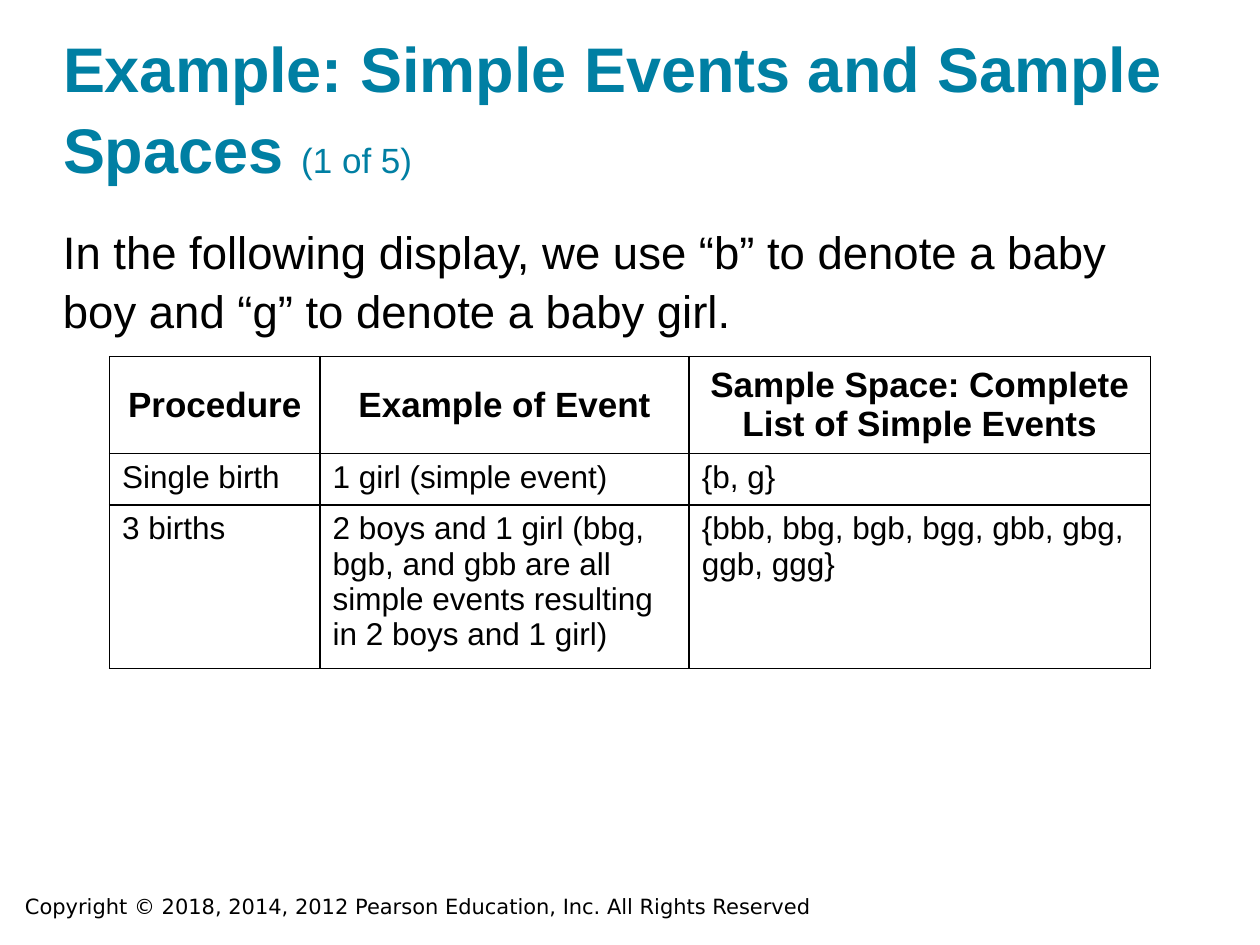
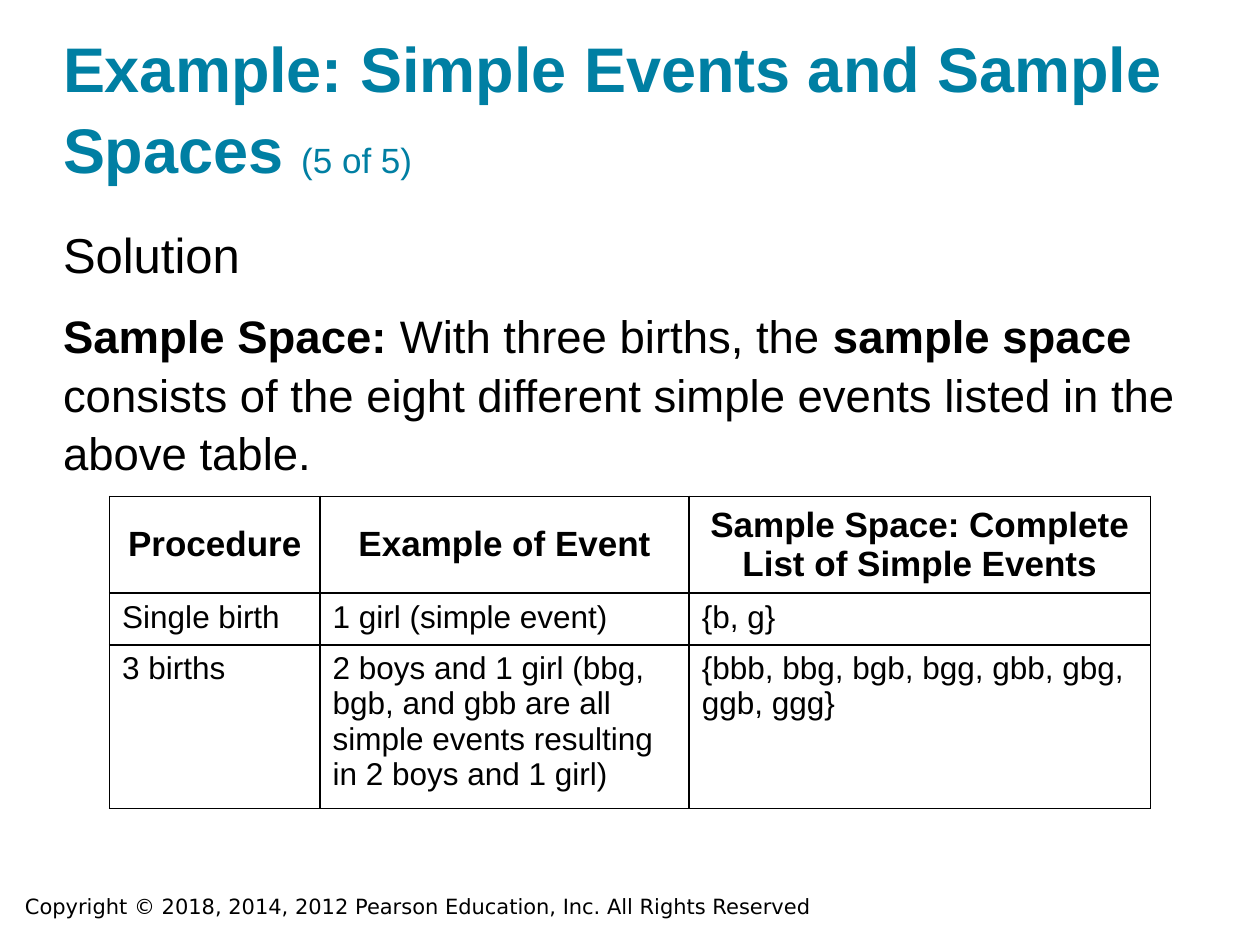
"""Build two slides on simple events and sample spaces."""
import pptx
import pptx.util
import pptx.dml.color
import pptx.enum.text
import pptx.oxml
import pptx.oxml.ns

Inches = pptx.util.Inches
Pt = pptx.util.Pt
RGBColor = pptx.dml.color.RGBColor
Align = pptx.enum.text.PP_ALIGN
Anchor = pptx.enum.text.MSO_ANCHOR

TEAL = RGBColor(0x00, 0x7F, 0xA3)
BLACK = RGBColor(0x00, 0x00, 0x00)
WHITE = RGBColor(0xFF, 0xFF, 0xFF)
FONT = "Arial"
LEFT = 0.5
LEAD = 1.07
TITLE = "Example: Simple Events and Sample Spaces "
RIGHTS = "Copyright © 2018, 2014, 2012 Pearson Education, Inc. All Rights Reserved"
WIDTHS = (1.67, 2.93, 3.66)
ROW = 0.41
EVENTS = (
    ("Procedure", "Example of Event",
     "Sample Space: Complete List of Simple Events"),
    ("Single birth", "1 girl (simple event)", "{b, g}"),
    ("3 births",
     "2 boys and 1 girl (bbg, bgb, and gbb are all simple events "
     "resulting in 2 boys and 1 girl)",
     "{bbb, bbg, bgb, bgg, gbb, gbg, ggb, ggg}"),
)


def style(font, size, color=BLACK, bold=None, name=FONT):
    """Set the look of a font."""
    font.name = name
    font.size = Pt(size)
    font.color.rgb = color
    font.bold = bold


def clear(frame):
    """Wrap the text and take away the margins."""
    frame.word_wrap = True
    frame.auto_size = pptx.enum.text.MSO_AUTO_SIZE.NONE
    frame.margin_left = frame.margin_right = 0
    frame.margin_top = frame.margin_bottom = 0


def add_title(slide, part):
    """Fill the title and its smaller part count."""
    title = slide.shapes.title
    title.left, title.top = Inches(LEFT), Inches(0.28)
    title.width, title.height = Inches(9), Inches(1.2)
    frame = title.text_frame
    clear(frame)
    frame.vertical_anchor = Anchor.BOTTOM
    para = frame.paragraphs[0]
    para.alignment = Align.LEFT
    para.line_spacing = LEAD
    for text, size, bold in ((TITLE, 36, True), (f"({part} of 5)", 20, False)):
        run = para.add_run()
        run.text = text
        style(run.font, size, TEAL, bold)


def add_body(slide, width, height, paras):
    """Add body text from (size, runs) pairs, every second run bold."""
    box = slide.shapes.add_textbox(
        Inches(LEFT), Inches(1.75), Inches(width), Inches(height))
    frame = box.text_frame
    clear(frame)
    for i, (size, runs) in enumerate(paras):
        para = frame.add_paragraph() if i else frame.paragraphs[0]
        para.line_spacing = LEAD
        para.space_before = Pt(12 if i else 0)
        style(para.font, size)
        for text, bold in runs:
            run = para.add_run()
            run.text = text
            if bold:
                run.font.bold = True


def add_edges(cell):
    """Draw a thin black line on each side of a cell."""
    props = cell._tc.get_or_add_tcPr()
    for i, side in enumerate("LRTB"):
        edge = pptx.oxml.parse_xml(
            f'<a:ln{side} {pptx.oxml.ns.nsdecls("a")} w="{Pt(1)}">'
            f'<a:solidFill><a:srgbClr val="{BLACK}"/></a:solidFill>'
            f'</a:ln{side}>')
        props.insert(i, edge)


def add_events(slide, top):
    """Add the table of procedures and their events."""
    table = slide.shapes.add_table(
        len(EVENTS), len(WIDTHS), Inches(0.87), Inches(top),
        Inches(sum(WIDTHS)), Inches(ROW * len(EVENTS))).table
    for col, width in zip(table.columns, WIDTHS):
        col.width = Inches(width)
    for r, row in enumerate(EVENTS):
        head = r == 0
        for c, text in enumerate(row):
            cell = table.cell(r, c)
            cell.text = text
            cell.fill.solid()
            cell.fill.fore_color.rgb = WHITE
            cell.vertical_anchor = Anchor.MIDDLE if head else Anchor.TOP
            para = cell.text_frame.paragraphs[0]
            para.alignment = Align.CENTER if head else Align.LEFT
            style(para.font, 20 if head else 18, bold=head)
            add_edges(cell)


def add_rights(slide):
    """Add the copyright line at the foot."""
    box = slide.shapes.add_textbox(
        Inches(0.1), Inches(7.04), Inches(7.83), Inches(0.3))
    frame = box.text_frame
    frame.word_wrap = True
    frame.text = RIGHTS
    style(frame.paragraphs[0].font, 12, name="DejaVu Sans")


def add_slide(deck, part):
    """Add a slide with the shared title and foot."""
    slide = deck.slides.add_slide(deck.slide_layouts[5])
    add_rights(slide)
    add_title(slide, part)
    return slide


def main():
    """Build and save the deck."""
    deck = pptx.Presentation()
    deck.slide_width, deck.slide_height = Inches(10), Inches(7.5)

    slide = add_slide(deck, 1)
    add_body(slide, 8.83, 0.92, [
        (26, [("In the following display, we use “b” to denote a baby boy "
               "and “g” to denote a baby girl.", False)])])
    add_events(slide, 2.83)

    slide = add_slide(deck, 5)
    add_body(slide, 8.92, 1.92, [
        (28, [("Solution", False)]),
        (26, [("Sample Space: ", True),
              ("With three births, the ", False),
              ("sample space ", True),
              ("consists of the eight different simple events listed in "
               "the above table.", False)])])
    add_events(slide, 3.94)

    deck.save("out.pptx")


if __name__ == "__main__":
    main()
